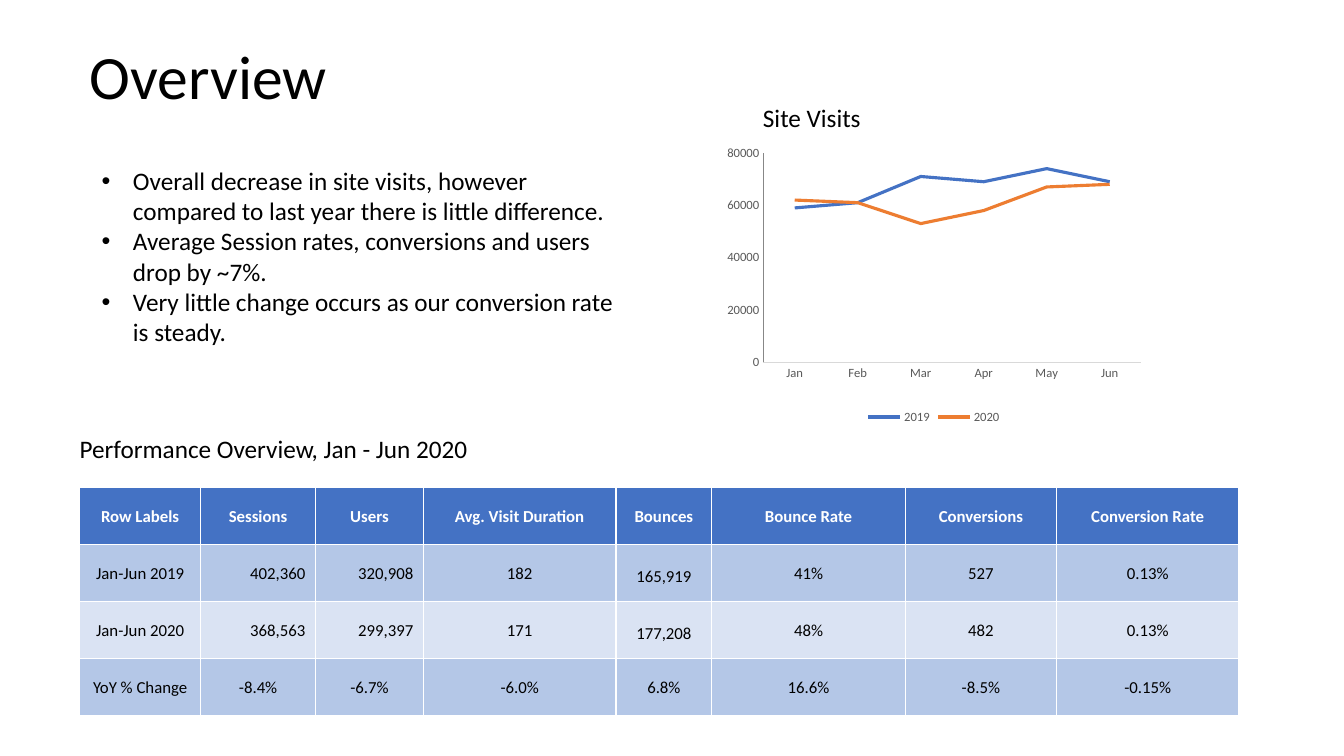
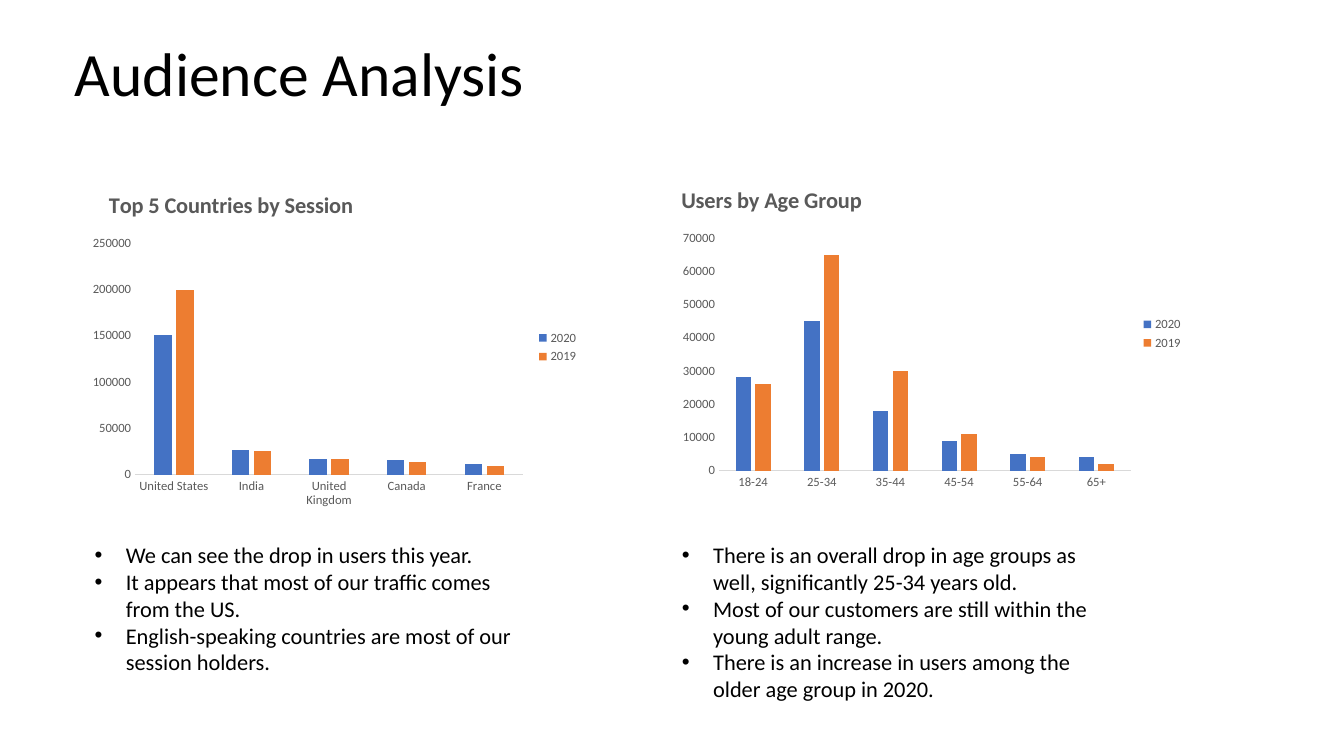
"""Build a two-slide site report: an overview and an audience analysis."""
from lxml.etree import SubElement
from pptx import Presentation
from pptx.chart.data import CategoryChartData
from pptx.dml.color import RGBColor
from pptx.enum.chart import XL_CHART_TYPE, XL_LEGEND_POSITION, XL_TICK_MARK
from pptx.enum.text import MSO_ANCHOR, PP_ALIGN
from pptx.oxml import parse_xml
from pptx.oxml.ns import nsdecls, qn
from pptx.util import Inches, Pt

rgb = RGBColor.from_string
FONT = "Calibri"
BLACK, WHITE, GREY, PALE_GREY = "000000", "FFFFFF", "595959", "D9D9D9"
BLUE, ORANGE, MID_BLUE, LIGHT_BLUE = "4472C4", "ED7D31", "B4C7E7", "DAE3F3"

deck = Presentation()
deck.slide_width, deck.slide_height = Inches(13.33), Inches(7.5)
column, row = deck.slide_width / 100, deck.slide_height / 100
overview, audience = [deck.slides.add_slide(deck.slide_layouts[6]) for _ in range(2)]


def place(box):
    """Turn left, top, width, height on the 100 by 100 grid into lengths."""
    return [int(count * unit) for count, unit in zip(box, (column, row, column, row))]


def add_text(slide, box, size, lines, bulleted=False, anchor=MSO_ANCHOR.TOP,
             align=PP_ALIGN.LEFT, spacing=1.0):
    """Add a text box with one paragraph per line."""
    frame = slide.shapes.add_textbox(*place(box)).text_frame
    frame.word_wrap = True
    frame.vertical_anchor = anchor
    frame.text = "\n".join(lines)
    for paragraph in frame.paragraphs:
        paragraph.alignment = align
        paragraph.line_spacing = spacing
        paragraph.font.name, paragraph.font.size = FONT, Pt(size)
        paragraph.font.color.rgb = rgb(BLACK)
        if bulleted:
            properties = paragraph._p.get_or_add_pPr()
            properties.set("marL", str(Inches(0.31)))
            properties.set("indent", str(-Inches(0.31)))
            bullet_font = parse_xml(f'<a:buFont {nsdecls("a")} typeface="Arial"/>')
            bullet = parse_xml(f'<a:buChar {nsdecls("a")} char="•"/>')
            properties.insert_element_before(bullet_font, "a:tabLst", "a:defRPr")
            bullet_font.addnext(bullet)


for slide, box, heading, anchor, align in (
    (overview, (5.93, 5.33, 86.25, 10.27), "Overview", MSO_ANCHOR.MIDDLE, PP_ALIGN.LEFT),
    (audience, (0.3, 2.67, 44.03, 12.53), "Audience Analysis", MSO_ANCHOR.BOTTOM,
     PP_ALIGN.CENTER),
):
    add_text(slide, box, 44, [heading], anchor=anchor, align=align, spacing=0.9)

add_text(overview, (56.03, 12.93, 22.28, 5.33), 18, ["Site Visits"])
add_text(overview, (5.18, 56.67, 32, 5.33), 18, ["Performance Overview, Jan - Jun 2020"])
add_text(overview, (6.83, 21.2, 40.2, 25.6), 18, [
    "Overall decrease in site visits, however compared to last year there is little difference.",
    "Average Session rates, conversions and users drop by ~7%.",
    "Very little change occurs as our conversion rate is steady.",
], bulleted=True)
add_text(audience, (6.3, 70.93, 34.28, 19.33), 16, [
    "We can see the drop in users this year.",
    "It appears that most of our traffic comes from the US.",
    "English-speaking countries are most of our session holders.",
], bulleted=True)
add_text(audience, (50, 70.93, 34.28, 22.93), 16, [
    "There is an overall drop in age groups as well, significantly 25-34 years old.",
    "Most of our customers are still within the young adult range.",
    "There is an increase in users among the older age group in 2020.",
], bulleted=True)

performance = (
    ("Row Labels", "Sessions", "Users", "Avg. Visit Duration", "Bounces", "Bounce Rate",
     "Conversions", "Conversion Rate"),
    ("Jan-Jun 2019", "402,360", "320,908", "182", "165,919", "41%", "527", "0.13%"),
    ("Jan-Jun 2020", "368,563", "299,397", "171", "177,208", "48%", "482", "0.13%"),
    ("YoY % Change", "-8.4%", "-6.7%", "-6.0%", "6.8%", "16.6%", "-8.5%", "-0.15%"),
)
row_fills = (BLUE, MID_BLUE, LIGHT_BLUE, MID_BLUE)
column_widths = (9, 8.55, 8.03, 14.33, 7.13, 14.4, 11.25, 13.58)
table = overview.shapes.add_table(
    len(performance), len(column_widths), *place((5.93, 64.53, 86.25, 30.13))).table
for table_column, width in zip(table.columns, column_widths):
    table_column.width = int(width * column)
for r, (labels, row_fill) in enumerate(zip(performance, row_fills)):
    for c, label in enumerate(labels):
        cell = table.cell(r, c)
        counts_row = r in (1, 2)
        right_aligned = counts_row and c in (1, 2)
        cell.text = label
        cell.vertical_anchor = MSO_ANCHOR.MIDDLE
        cell.margin_left, cell.margin_bottom = Inches(0.01), 0
        cell.margin_right = Inches(0.1 if right_aligned else 0.01)
        cell.margin_top = Inches(0.07 if counts_row and c == 4 else 0.01)
        cell.fill.solid()
        cell.fill.fore_color.rgb = rgb(row_fill)
        paragraph = cell.text_frame.paragraphs[0]
        paragraph.alignment = PP_ALIGN.RIGHT if right_aligned else PP_ALIGN.CENTER
        paragraph.font.name, paragraph.font.size = FONT, Pt(12)
        paragraph.font.bold = r == 0
        paragraph.font.color.rgb = rgb(BLACK if r else WHITE)
        for position, edge in enumerate(("lnL", "lnR", "lnT", "lnB")):
            cell._tc.get_or_add_tcPr().insert(position, parse_xml(
                f'<a:{edge} {nsdecls("a")} w="{Pt(1)}"><a:solidFill>'
                f'<a:srgbClr val="{WHITE}"/></a:solidFill></a:{edge}>'))

charts = (
    (overview, (52.28, 18.4, 34.43, 38.27), None, None, (0.131, 0.048, 0.817, 0.724),
     ("Jan", "Feb", "Mar", "Apr", "May", "Jun"), 80000, 20000,
     {"2019": (59000, 61000, 71000, 69000, 74000, 69000),
      "2020": (62000, 61000, 53000, 58000, 67000, 68000)}),
    (audience, (6.3, 23.73, 37.5, 44.4), "Top 5 Countries by Session", (0.04, 0.02),
     (0.1, 0.19, 0.77, 0.69),
     ("United States", "India", "United Kingdom", "Canada", "France"), 250000, 50000,
     {"2020": (151000, 27000, 17000, 16000, 11000),
      "2019": (199000, 26000, 17000, 14000, 9000)}),
    (audience, (50, 23.07, 38.78, 42.13), "Users by Age Group", (0.01, 0.02),
     (0.09, 0.2, 0.79, 0.73),
     ("18-24", "25-34", "35-44", "45-54", "55-64", "65+"), 70000, 10000,
     {"2020": (28000, 45000, 18000, 9000, 5000, 4000),
      "2019": (26000, 65000, 30000, 11000, 4000, 2000)}),
)
for slide, box, heading, heading_at, plot_at, categories, top, step, years in charts:
    is_line = heading is None
    figures = CategoryChartData()
    figures.categories = categories
    for year, counts in years.items():
        figures.add_series(year, counts)
    kind = XL_CHART_TYPE.LINE if is_line else XL_CHART_TYPE.COLUMN_CLUSTERED
    chart = slide.shapes.add_chart(kind, *place(box), figures).chart
    chart.font.name, chart.font.size = FONT, Pt(10)
    chart.font.color.rgb = rgb(BLACK)
    chart.has_legend = True
    chart.legend.include_in_layout = False
    chart.legend.position = XL_LEGEND_POSITION.BOTTOM if is_line else XL_LEGEND_POSITION.RIGHT
    for font in (chart.legend.font, chart.category_axis.tick_labels.font,
                 chart.value_axis.tick_labels.font):
        font.name, font.size = FONT, Pt(9)
        font.color.rgb = rgb(GREY)
    for axis in (chart.category_axis, chart.value_axis):
        axis.major_tick_mark = axis.minor_tick_mark = XL_TICK_MARK.NONE
        axis.has_major_gridlines = False
    chart.category_axis.format.line.color.rgb = rgb(PALE_GREY)
    chart.category_axis.format.line.width = Pt(0.75)
    chart.value_axis.minimum_scale, chart.value_axis.maximum_scale = 0, top
    chart.value_axis.major_unit = step

    plot = chart.plots[0]
    plot.vary_by_categories = False
    for series, color in zip(plot.series, (BLUE, ORANGE)):
        if is_line:
            series.smooth = False
            series.format.line.color.rgb = rgb(color)
            series.format.line.width = Pt(2.25)
        else:
            series.format.fill.solid()
            series.format.fill.fore_color.rgb = rgb(color)

    layouts = [(chart._chartSpace.chart.plotArea, 0, plot_at)]
    chart.has_title = not is_line
    if not is_line:
        plot.gap_width, plot.overlap = 219, -27
        chart.value_axis.format.line.fill.background()
        chart.chart_title.text_frame.text = heading
        title_font = chart.chart_title.text_frame.paragraphs[0].font
        title_font.name, title_font.size, title_font.bold = FONT, Pt(16), True
        title_font.color.rgb = rgb(GREY)
        layouts.append((chart.chart_title._element, 1, heading_at))
    for parent, position, shares in layouts:
        for automatic in parent.findall(qn("c:layout")):
            parent.remove(automatic)
        layout = parse_xml(f'<c:layout {nsdecls("c")}><c:manualLayout/></c:layout>')
        parent.insert(position, layout)
        settings = [("xMode", "edge"), ("yMode", "edge"), *zip("xywh", shares)]
        if position == 0:
            settings.insert(0, ("layoutTarget", "inner"))
        for tag, setting in settings:
            SubElement(layout[0], qn(f"c:{tag}")).set("val", str(setting))

deck.save("out.pptx")
